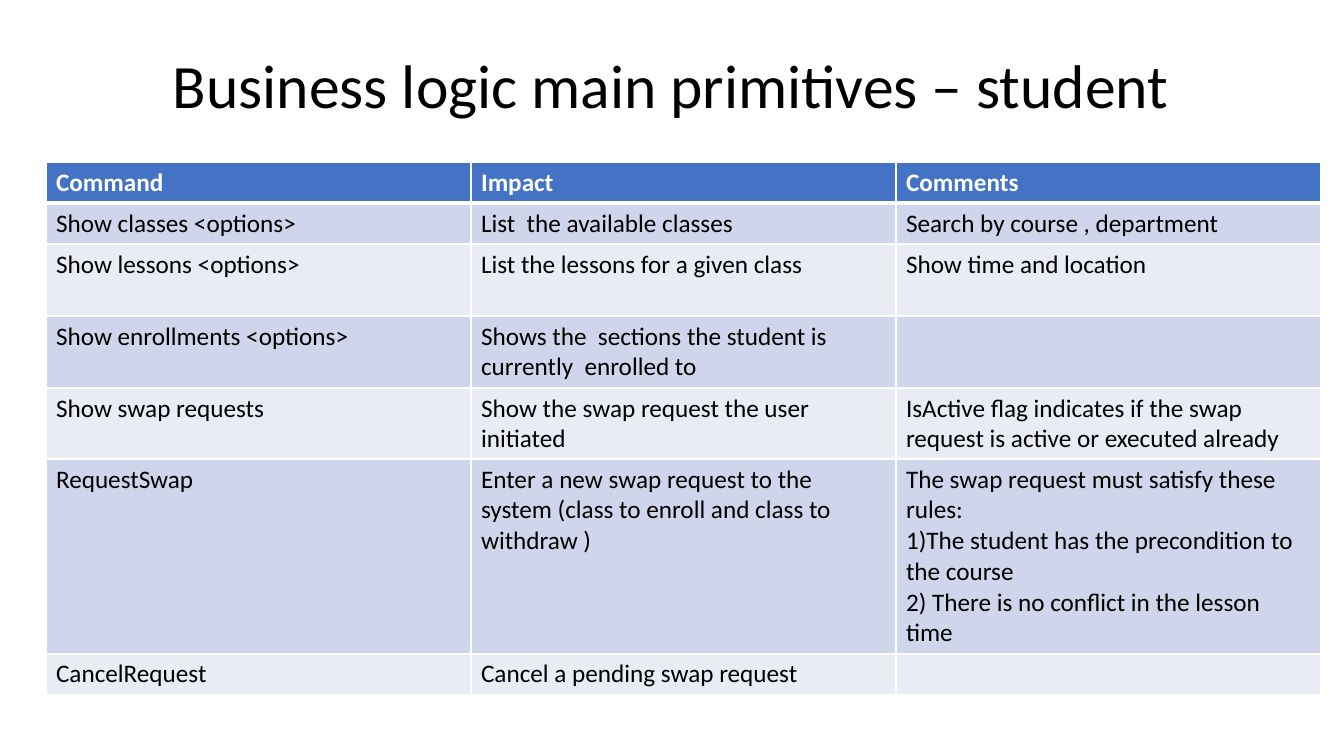
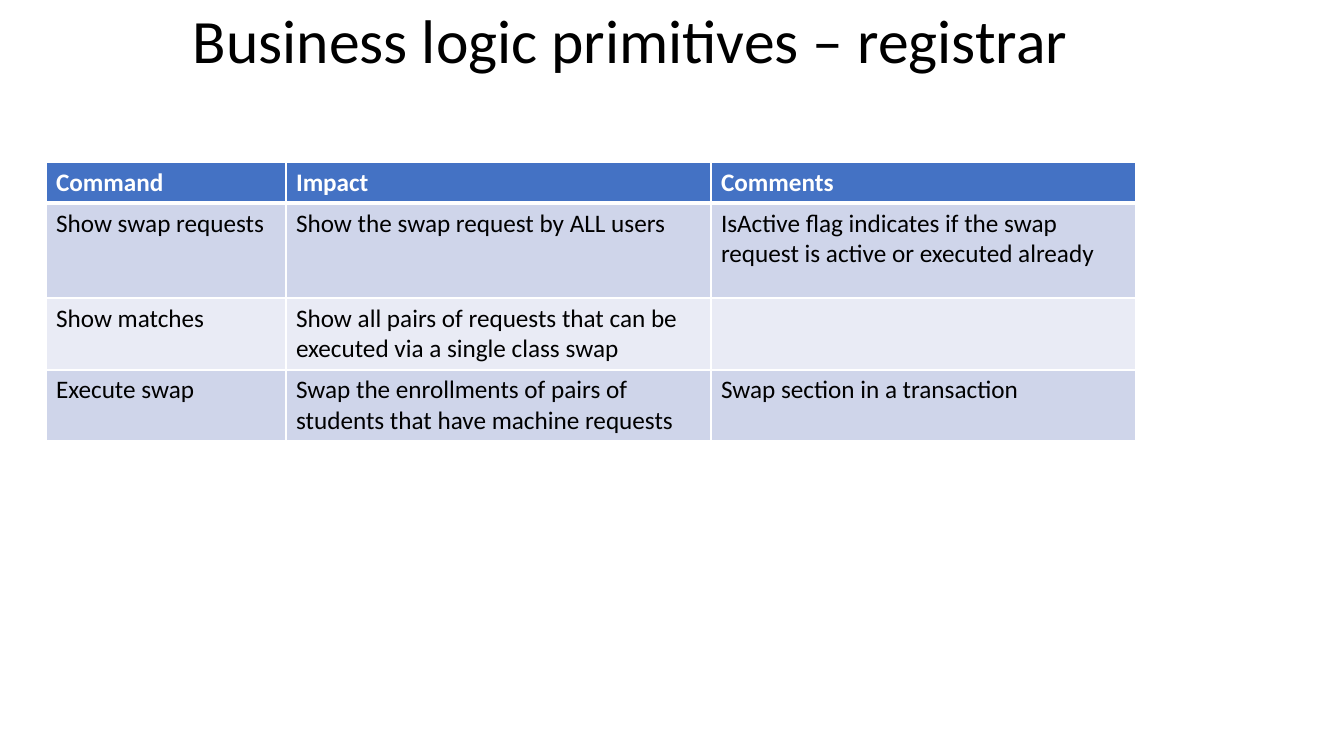
from lxml import etree
from pptx import Presentation, util as u
from pptx.dml.color import RGBColor
from pptx.enum import text
from pptx.oxml import ns

PX = 914400 / 100.8
FONT = "Calibri"
BLACK = RGBColor(0x00, 0x00, 0x00)
WHITE = RGBColor(0xFF, 0xFF, 0xFF)
HEADER = RGBColor(0x44, 0x72, 0xC4)
BANDS = [RGBColor(0xE9, 0xEB, 0xF5), RGBColor(0xCF, 0xD5, 0xEA)]
HEADINGS = ["Command", "Impact", "Comments"]
WIDE = 425


def px(pixels):
    return u.Emu(round(pixels * PX))


def add_border(cell, side, points):
    line = etree.SubElement(cell._tc.get_or_add_tcPr(), ns.qn("a:" + side),
                            w=str(u.Pt(points)))
    fill = etree.SubElement(line, ns.qn("a:solidFill"))
    etree.SubElement(fill, ns.qn("a:srgbClr"), val=str(WHITE))


# Content: title, its left and top, column widths, row heights, rows
SLIDES = [
    ("Business logic main primitives – student", 93, 16,
     [WIDE, WIDE, WIDE], [41, 41, 72, 72, 71, 195, 41], [
         ["Show classes <options>", "List  the available classes",
          "Search by course , department"],
         ["Show lessons <options>", "List the lessons for a given class",
          "Show time and location"],
         ["Show enrollments <options>",
          "Shows the  sections the student is currently  enrolled to", ""],
         ["Show swap requests", "Show the swap request the user initiated",
          "IsActive flag indicates if the swap request is active or executed already"],
         ["RequestSwap",
          "Enter a new swap request to the system "
          "(class to enroll and class to withdraw )",
          "The swap request must satisfy these rules:\n"
          "1)The student has the precondition to the course\n"
          "2) There is no conflict in the lesson time"],
         ["CancelRequest", "Cancel a pending swap request", ""],
     ]),
    ("Business logic primitives – registrar", 113, -29,
     [240, WIDE, WIDE], [41, 95, 72, 71], [
         ["Show swap requests", "Show the swap request by ALL users",
          "IsActive flag indicates if the swap request is active or executed already"],
         ["Show matches",
          "Show all pairs of requests that can be executed via a single class swap", ""],
         ["Execute swap",
          "Swap the enrollments of pairs of students that have machine requests",
          "Swap section in a transaction"],
     ]),
]

deck = Presentation()
deck.slide_width, deck.slide_height = px(1344), px(756)

for title, left, top, widths, heights, commands in SLIDES:
    slide = deck.slides.add_slide(deck.slide_layouts[6])

    # Title
    heading = slide.shapes.add_textbox(px(left), px(top), px(1159), px(146)).text_frame
    heading.word_wrap = True
    heading.vertical_anchor = text.MSO_ANCHOR.MIDDLE
    heading.margin_left = px(80)
    heading.text = title
    line = heading.paragraphs[0]
    line.line_spacing = 0.9
    line.font.name, line.font.size = FONT, u.Pt(44)
    line.font.color.rgb = BLACK

    # Command table
    rows = [HEADINGS] + commands
    table = slide.shapes.add_table(len(rows), len(widths), px(46), px(162),
                                   px(sum(widths)), px(sum(heights))).table
    for column, width in zip(table.columns, widths):
        column.width = px(width)
    for r, (row, height) in enumerate(zip(rows, heights)):
        table.rows[r].height = px(height)
        is_header = r == 0
        for c, wording in enumerate(row):
            cell = table.cell(r, c)
            add_border(cell, "lnL", 1)
            add_border(cell, "lnR", 1)
            add_border(cell, "lnT", 3 if r == 1 else 1)
            add_border(cell, "lnB", 3 if is_header else 1)
            cell.fill.solid()
            cell.fill.fore_color.rgb = HEADER if is_header else BANDS[r % 2]
            cell.text = wording
            for paragraph in cell.text_frame.paragraphs:
                font = paragraph.font
                font.name, font.size, font.bold = FONT, u.Pt(18), is_header
                font.color.rgb = WHITE if is_header else BLACK

deck.save("out.pptx")
